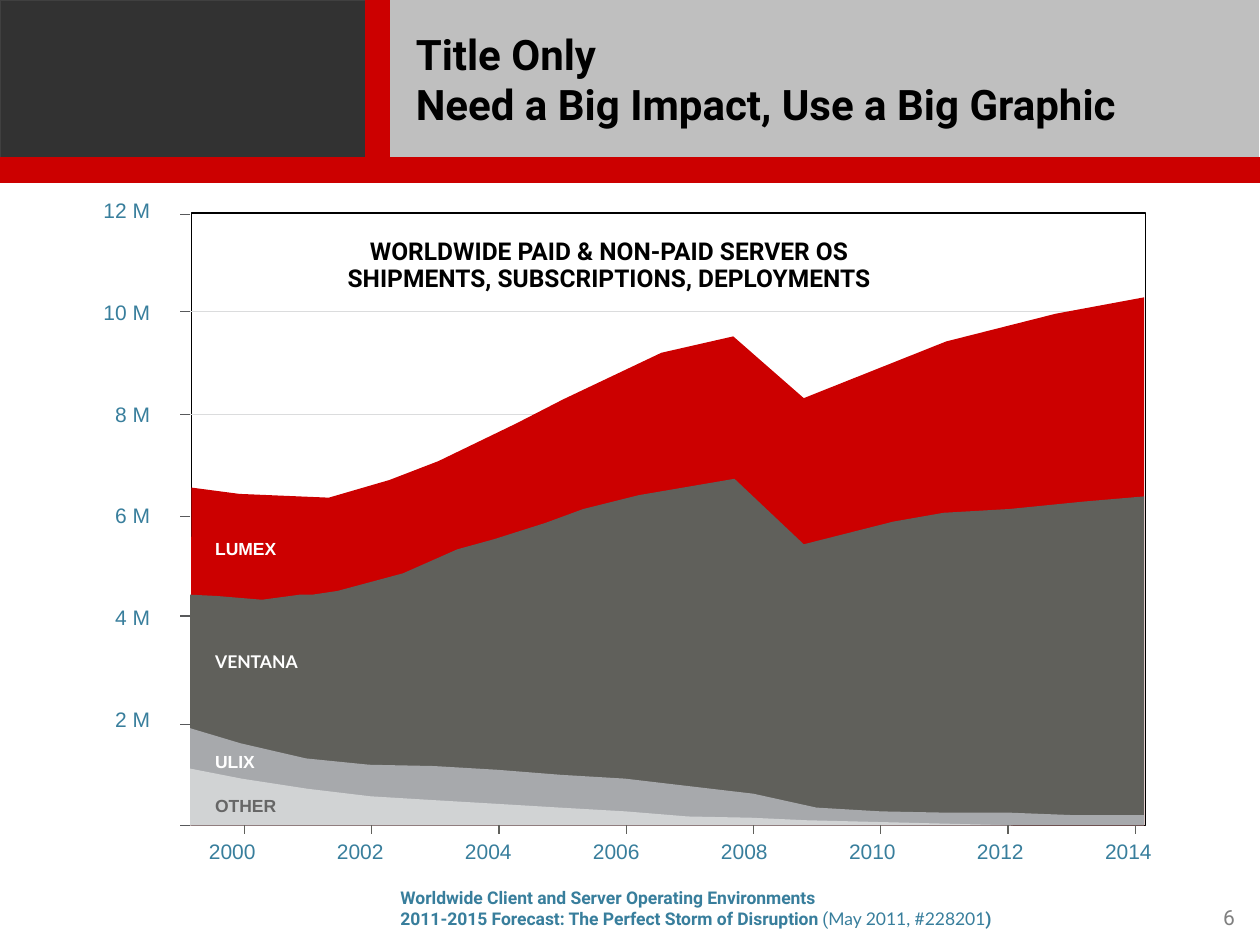
from dataclasses import dataclass

from lxml.etree import SubElement
from pptx import Presentation
from pptx.dml.color import RGBColor
from pptx.enum.shapes import MSO_CONNECTOR, MSO_SHAPE
from pptx.enum.text import MSO_ANCHOR, PP_ALIGN
from pptx.oxml.ns import qn
from pptx.util import Inches, Pt


@dataclass(frozen=True)
class Theme:
    """Colours, fonts and type sizes of the slide."""
    red: str = "CC0000"
    silver: str = "BFBFBF"
    charcoal: str = "323232"
    charcoal_edge: str = "404040"
    olive: str = "60605B"
    steel: str = "A7A9AC"
    mist: str = "D1D3D4"
    grid: str = "DBDCDD"
    tick: str = "58595B"
    blue: str = "387E9C"
    grey: str = "7F7F7F"
    dark_grey: str = "666666"
    black: str = "000000"
    white: str = "FFFFFF"
    heading_font: str = "Roboto"
    label_font: str = "Arial"
    accent_font: str = "Lato"
    title_size: int = 24
    headline_size: int = 14
    axis_size: int = 12
    small_size: int = 10
    line_width: float = 0.75


class SlideBuilder:
    """Draws styled elements on one slide, on a grid of 100 columns by 75 rows."""

    def __init__(self, presentation, theme):
        """Open a title-only slide and measure one grid cell."""
        self.theme = theme
        self.slide = presentation.slides.add_slide(presentation.slide_layouts[5])
        self.shapes = self.slide.shapes
        self.column = presentation.slide_width / 100
        self.row = presentation.slide_height / 75

    def place(self, columns, rows):
        """Turn a grid pair into lengths."""
        return round(columns * self.column), round(rows * self.row)

    def box(self, left, top, width, height):
        """Turn a grid box into lengths."""
        return *self.place(left, top), *self.place(width, height)

    def paint(self, shape, fill, line=None):
        """Set fill and outline of a shape."""
        shape.shadow.inherit = False
        shape.fill.solid()
        shape.fill.fore_color.rgb = RGBColor.from_string(fill)
        if line:
            shape.line.color.rgb = RGBColor.from_string(line)
            shape.line.width = Pt(self.theme.line_width)
        else:
            shape.line.fill.background()

    def style(self, font, size, color, name, bold):
        """Set the look of a font."""
        font.size, font.name, font.bold = Pt(size), name, bold
        font.color.rgb = RGBColor.from_string(color)

    def rectangle(self, bounds, fill, line):
        """Add a rectangle."""
        shape = self.shapes.add_shape(MSO_SHAPE.RECTANGLE, *self.box(*bounds))
        self.paint(shape, fill, line)

    def area(self, points, fill):
        """Add a filled outline through grid points."""
        start, *rest = [self.place(*point) for point in points]
        builder = self.shapes.build_freeform(*start, scale=1.0)
        builder.add_line_segments(rest, close=True)
        self.paint(builder.convert_to_shape(), fill)

    def line(self, start, end, color):
        """Add a straight line."""
        connector = self.shapes.add_connector(
            MSO_CONNECTOR.STRAIGHT, *self.place(*start), *self.place(*end))
        connector.line.color.rgb = RGBColor.from_string(color)
        connector.line.width = Pt(self.theme.line_width)
        SubElement(connector.element.spPr, qn("a:effectLst"))

    def title(self, bounds, text):
        """Move the title placeholder to the front and fill it."""
        shape = self.shapes.title
        shape.element.getparent().append(shape.element)
        shape.left, shape.top, shape.width, shape.height = self.box(*bounds)
        frame = shape.text_frame
        frame.text = text
        frame.vertical_anchor = MSO_ANCHOR.MIDDLE
        frame.margin_left = frame.margin_right = Inches(0.2)
        frame.margin_top = frame.margin_bottom = Inches(0.1)
        paragraph = frame.paragraphs[0]
        paragraph.alignment = PP_ALIGN.LEFT
        self.style(paragraph.font, self.theme.title_size, self.theme.black,
                   self.theme.heading_font, True)

    def text(self, bounds, lines, size, color, font, bold=False,
             align=PP_ALIGN.LEFT, spacing=1.0):
        """Add a text box with one paragraph per line and return its frame."""
        frame = self.shapes.add_textbox(*self.box(*bounds)).text_frame
        frame.word_wrap = False
        frame.margin_left = frame.margin_right = Inches(0.1)
        frame.margin_top, frame.margin_bottom = Inches(0.07), Inches(0.05)
        frame.text = "\n".join(lines)
        for paragraph in frame.paragraphs:
            paragraph.alignment = align
            paragraph.line_spacing = spacing
            self.style(paragraph.font, size, color, font, bold)
        return frame


LEFT, RIGHT, BOTTOM = 15.1, 90.8, 65.5
TICK_ROWS = [17, 24.7, 32.9, 41, 48.9, 57.5, 65.5]
RED_EDGE = [
    (90.8, 23.6), (83.8, 24.9), (75.1, 27.1), (63.8, 31.6), (58.2, 26.7), (52.5, 28),
    (44.7, 31.7), (41, 33.6), (34.8, 36.6), (30.9, 38.1), (26.1, 39.5), (19, 39.2),
    (15.2, 38.7)]
OLIVE_EDGE = [
    (90.8, 39.4), (86.1, 39.8), (80.1, 40.4), (74.9, 40.7), (70.9, 41.4), (63.8, 43.2),
    (58.3, 38), (50.7, 39.3), (46.3, 40.4), (43.3, 41.5), (39.2, 42.8), (36.3, 43.6),
    (32, 45.5), (26.8, 46.9), (24.8, 47.2), (23.8, 47.2), (20.8, 47.6), (17.2, 47.3),
    (15.1, 47.2)]
STEEL_EDGE = [
    (90.8, 64.7), (85.2, 64.7), (80, 64.5), (74.9, 64.5), (69.9, 64.4), (64.8, 64.1),
    (59.8, 63), (54.7, 62.4), (49.6, 61.8), (44.5, 61.5), (39.5, 61.1), (34.4, 60.8),
    (29.3, 60.7), (24.3, 60.2), (19.1, 59), (15.1, 57.8)]
MIST_EDGE = [
    (80.4, 65.5), (64, 65.1), (59.6, 64.9), (54.6, 64.8), (49.7, 64.4), (44.5, 64.1),
    (39.5, 63.8), (34.4, 63.5), (29.4, 63.2), (24.4, 62.6), (19.2, 61.8), (15.1, 61)]


def draw_header(builder, theme):
    """Draw the header bands and the title."""
    builder.rectangle((30.9, 0, 69, 12.5), theme.silver, theme.silver)
    builder.rectangle((0, 0, 29, 12.5), theme.charcoal, theme.charcoal_edge)
    builder.rectangle((0, 12.5, 100, 2), theme.red, theme.red)
    builder.rectangle((29, 0, 1.9, 12.5), theme.red, theme.red)
    builder.title((31, 0, 69, 12.5), "Title Only\vNeed a Big Impact, Use a Big Graphic")


def draw_graph(builder, theme):
    """Draw the stacked areas with their axes and labels."""
    builder.rectangle((15.2, 16.9, 75.7, 48.6), theme.white, theme.black)
    for row in TICK_ROWS[1:3]:
        builder.line((LEFT, row), (RIGHT, row), theme.grid)
    for edge, fill in ((RED_EDGE, theme.red), (OLIVE_EDGE, theme.olive),
                       (STEEL_EDGE, theme.steel), (MIST_EDGE, theme.mist)):
        builder.area([(LEFT, BOTTOM), (edge[0][0], BOTTOM), *edge], fill)
    for row in TICK_ROWS:
        builder.line((LEFT, row), (LEFT - 0.8, row), theme.tick)

    axis = (theme.axis_size, theme.blue, theme.label_font)
    for index in range(8):
        column = 19.4 + 10.1 * index
        builder.line((column, BOTTOM), (column, BOTTOM + 0.7), theme.olive)
        builder.text((15.6 + 10.16 * index, 66.1, 7, 3.5), [str(2000 + 2 * index)],
                     *axis, spacing=0.9)
    for index in range(6):
        builder.text((6.7, 15.2 + 8.08 * index, 6.2, 3.5), [f"{12 - 2 * index} M"],
                     *axis, align=PP_ALIGN.RIGHT, spacing=0.9)

    builder.text((22.2, 18.3, 52.3, 5.2),
                 ["WORLDWIDE PAID & NON-PAID SERVER OS",
                  "SHIPMENTS, SUBSCRIPTIONS, DEPLOYMENTS"],
                 theme.headline_size, theme.black, theme.heading_font, True,
                 PP_ALIGN.CENTER, 0.9)
    for name, row, color, font in (
            ("LUMEX", 42, theme.white, theme.label_font),
            ("VENTANA", 51, theme.white, theme.accent_font),
            ("ULIX", 58.9, theme.white, theme.label_font),
            ("OTHER", 62.4, theme.dark_grey, theme.label_font)):
        builder.text((16.1, row, 10, 3), [name], theme.small_size, color, font, True)


def draw_footer(builder, theme):
    """Draw the source line and the page number."""
    frame = builder.text((30.8, 69.7, 51.9, 4.5),
                         ["Worldwide Client and Server Operating Environments",
                          "2011-2015 Forecast: The Perfect Storm of Disruption "],
                         theme.small_size, theme.blue, theme.heading_font, True)
    for words, font, bold in (("(", theme.heading_font, False),
                              ("May 2011, #228201", theme.accent_font, False),
                              (")", theme.heading_font, True)):
        run = frame.paragraphs[1].add_run()
        run.text = words
        builder.style(run.font, theme.small_size, theme.blue, font, bold)
    builder.text((87.8, 71.1, 11.2, 3), ["6"], theme.axis_size, theme.grey,
                 theme.heading_font, align=PP_ALIGN.RIGHT)


def main():
    """Build the slide and save it."""
    presentation = Presentation()
    presentation.slide_width, presentation.slide_height = Inches(10), Inches(7.5)
    theme = Theme()
    builder = SlideBuilder(presentation, theme)
    for draw in (draw_header, draw_graph, draw_footer):
        draw(builder, theme)
    presentation.save("out.pptx")


if __name__ == "__main__":
    main()
